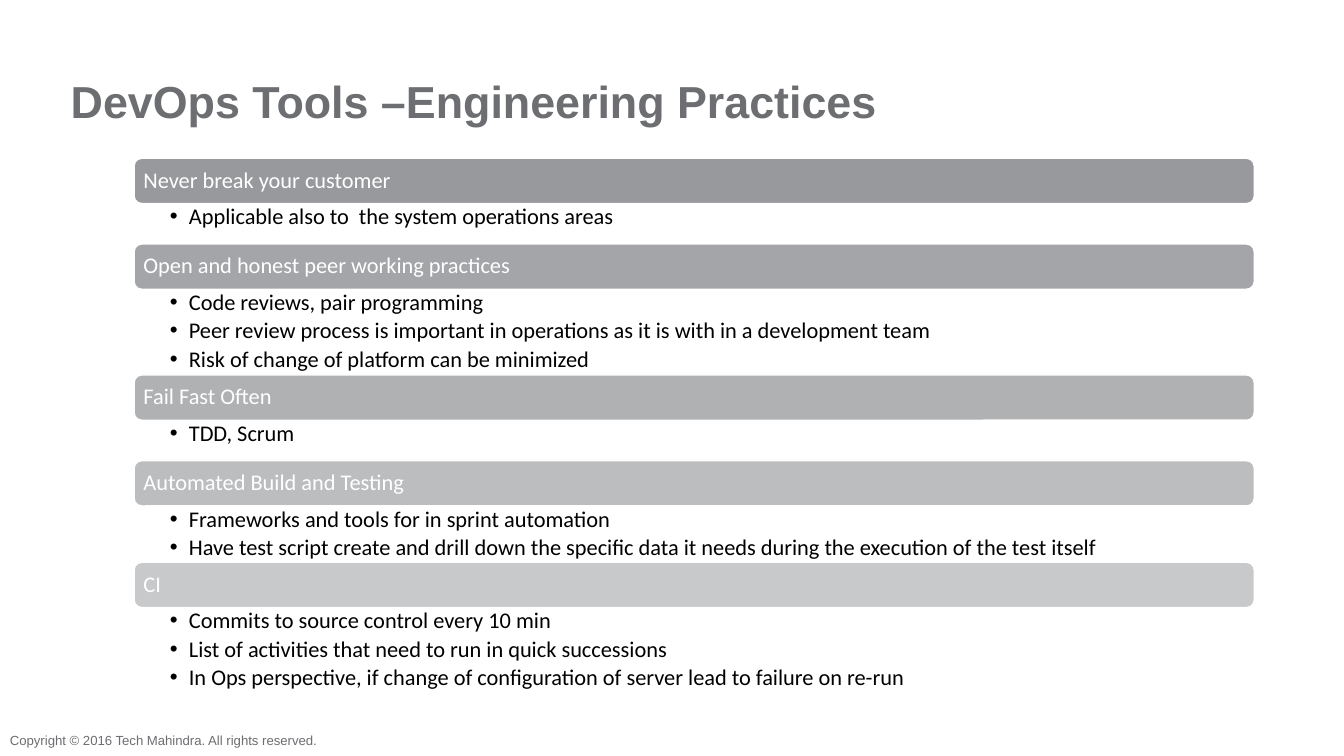
from dataclasses import dataclass

from lxml.etree import SubElement
from pptx import Presentation
from pptx.dml.color import RGBColor
from pptx.enum.shapes import MSO_SHAPE
from pptx.enum.text import MSO_ANCHOR, PP_ALIGN
from pptx.oxml.ns import qn
from pptx.util import Cm, Pt


@dataclass(frozen=True)
class Theme:
    heading_font: str = "Arial"
    body_font: str = "Calibri"
    grey: str = "6D6E71"
    white: str = "FFFFFF"
    black: str = "000000"
    bars: tuple = ("98999C", "A4A5A8", "B0B1B3", "BCBDBF", "C8C9CA")
    title_size: float = 32
    body_size: float = 16
    copyright_size: float = 9.4


THEME = Theme()
BAR_HEIGHT = Cm(1.14)
# Height of the area under a bar, by its number of bullets
BULLETS_HEIGHT = {1: Cm(1.02), 2: Cm(1.42), 3: Cm(2.16)}

PRACTICES = [
    ("Never break your customer",
     ["Applicable also to  the system operations areas"]),
    ("Open and honest peer working practices",
     ["Code reviews, pair programming",
      "Peer review process is important in operations as it is with in a development team",
      "Risk of change of platform can be minimized"]),
    ("Fail Fast Often",
     ["TDD, Scrum"]),
    ("Automated Build and Testing",
     ["Frameworks and tools for in sprint automation",
      "Have test script create and drill down the specific data it needs "
      "during the execution of the test itself"]),
    ("CI",
     ["Commits to source control every 10 min",
      "List of activities that need to run in quick successions",
      "In Ops perspective, if change of configuration of server lead to failure on re-run"]),
]


def style(paragraph, font_name, size, color, bold=False):
    paragraph.alignment = PP_ALIGN.LEFT
    font = paragraph.font
    font.name, font.size, font.bold = font_name, Pt(size), bold
    font.color.rgb = RGBColor.from_string(color)


def set_frame(frame, anchor, left, top, right, bottom):
    """Wrap the frame's text, anchor it and set its four margins."""
    frame.word_wrap = True
    frame.vertical_anchor = anchor
    frame.margin_left, frame.margin_top = left, top
    frame.margin_right, frame.margin_bottom = right, bottom


def add_bullet(paragraph):
    properties = paragraph._p.get_or_add_pPr()
    properties.set("marL", str(Cm(0.48)))
    properties.set("indent", str(-Cm(0.48)))
    SubElement(properties, qn("a:buFont")).set("typeface", THEME.heading_font)
    SubElement(properties, qn("a:buChar")).set("char", "•")


def place_title(slide, left, top, width, height):
    title = slide.shapes.title
    title.left, title.top, title.width, title.height = left, top, width, height
    title.text_frame.text = "DevOps Tools –Engineering Practices"
    set_frame(title.text_frame, MSO_ANCHOR.TOP, 0, 0, 0, 0)
    heading = title.text_frame.paragraphs[0]
    heading.line_spacing = 0.9
    style(heading, THEME.heading_font, THEME.title_size, THEME.grey, bold=True)


def add_bar(slide, practice, color, left, top, width):
    bar = slide.shapes.add_shape(
        MSO_SHAPE.ROUNDED_RECTANGLE, left, top, width, BAR_HEIGHT)
    bar.shadow.inherit = False
    bar.fill.solid()
    bar.fill.fore_color.rgb = RGBColor.from_string(color)
    bar.line.color.rgb = RGBColor.from_string(THEME.white)
    bar.line.width = Pt(1)
    set_frame(bar.text_frame, MSO_ANCHOR.MIDDLE, *[Cm(0.18)] * 4)
    label = bar.text_frame.paragraphs[0]
    label.text = practice
    label.line_spacing = 0.9
    style(label, THEME.body_font, THEME.body_size, THEME.white)


def add_bullets(slide, points, left, top, width, height):
    frame = slide.shapes.add_textbox(left, top, width, height).text_frame
    set_frame(frame, MSO_ANCHOR.TOP, Cm(0.9), Cm(0.05), Cm(0.3), Cm(0.05))
    for index, point in enumerate(points):
        bullet = frame.add_paragraph() if index else frame.paragraphs[0]
        bullet.text = point
        bullet.level = 1
        bullet.line_spacing = 0.9
        bullet.space_after = Pt(3)
        add_bullet(bullet)
        style(bullet, THEME.body_font, THEME.body_size, THEME.black)


def add_practices(slide, left, top, width):
    """Stack the practices, each a bar with its bullets below."""
    for (practice, points), color in zip(PRACTICES, THEME.bars):
        add_bar(slide, practice, color, left, top, width)
        top += BAR_HEIGHT
        height = BULLETS_HEIGHT[len(points)]
        add_bullets(slide, points, left, top, width, height)
        top += height


def add_copyright(slide, left, top, width, height):
    frame = slide.shapes.add_textbox(left, top, width, height).text_frame
    set_frame(frame, MSO_ANCHOR.MIDDLE, Cm(0.25), Cm(0.13), Cm(0.25), Cm(0.13))
    notice = frame.paragraphs[0]
    notice.text = "Copyright © 2016 Tech Mahindra. All rights reserved."
    style(notice, THEME.heading_font, THEME.copyright_size, THEME.grey)


def main():
    presentation = Presentation()
    presentation.slide_width, presentation.slide_height = Cm(33.86), Cm(19.05)
    title_only = presentation.slide_layouts[5]
    slide = presentation.slides.add_slide(title_only)
    place_title(slide, Cm(1.78), Cm(2), Cm(30.45), Cm(1.22))
    add_practices(slide, Cm(3.38), Cm(3.99), Cm(28.22))
    add_copyright(slide, Cm(0), Cm(18.36), Cm(8.46), Cm(0.58))
    presentation.save("out.pptx")


if __name__ == "__main__":
    main()
